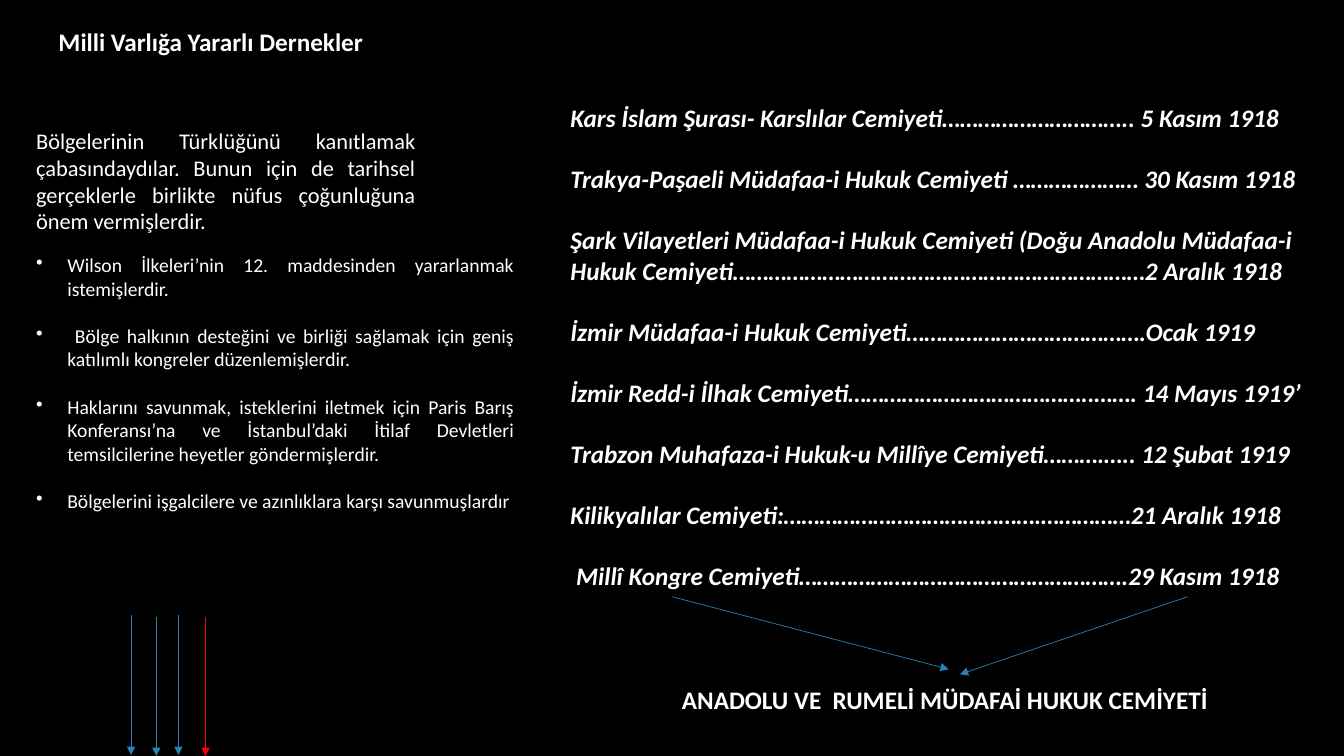
from dataclasses import dataclass

from pptx import Presentation
from pptx import util as u
from pptx.dml.color import RGBColor
from pptx.enum import shapes, text
from pptx.oxml.ns import qn
from lxml import etree

WIDTH, HEIGHT = u.Inches(13.33), u.Inches(7.5)


@dataclass(frozen=True)
class Theme:
    """Colours, font and type sizes of the slide."""
    background: RGBColor = RGBColor(0x00, 0x00, 0x00)
    ink: RGBColor = RGBColor(0xFF, 0xFF, 0xFF)
    blue: RGBColor = RGBColor(0x29, 0x80, 0xB9)
    red: RGBColor = RGBColor(0xFF, 0x00, 0x00)
    font: str = "Calibri"
    heading: int = 18
    body: int = 16
    bullet: int = 14
    line: float = 0.5


THEME = Theme()

INTRO = ("Bölgelerinin Türklüğünü kanıtlamak çabasındaydılar. Bunun için de tarihsel "
         "gerçeklerle birlikte nüfus çoğunluğuna önem vermişlerdir.")
AIMS = [
    "Wilson İlkeleri’nin 12. maddesinden yararlanmak istemişlerdir.",
    " Bölge halkının desteğini ve birliği sağlamak için geniş katılımlı kongreler "
    "düzenlemişlerdir.",
    "Haklarını savunmak, isteklerini iletmek için Paris Barış Konferansı’na ve "
    "İstanbul’daki İtilaf Devletleri temsilcilerine heyetler göndermişlerdir.",
    "Bölgelerini işgalcilere ve azınlıklara karşı savunmuşlardır",
]
SOCIETIES = [
    "Kars İslam Şurası- Karslılar Cemiyeti………………………….. 5 Kasım 1918",
    "Trakya-Paşaeli Müdafaa-i Hukuk Cemiyeti ………………… 30 Kasım 1918",
    "Şark Vilayetleri Müdafaa-i Hukuk Cemiyeti (Doğu Anadolu Müdafaa-i Hukuk "
    "Cemiyeti……………………………………………………………2 Aralık 1918",
    "İzmir Müdafaa-i Hukuk Cemiyeti………………………………….Ocak 1919",
    "İzmir Redd-i İlhak Cemiyeti…………………………………..……. 14 Mayıs 1919’",
    "Trabzon Muhafaza-i Hukuk-u Millîye Cemiyeti……….….. 12 Şubat 1919",
    "Kilikyalılar Cemiyeti:…………………………………….……………21 Aralık 1918",
    " Millî Kongre Cemiyeti……………………………………………….29 Kasım 1918",
]


def across(percent):
    """Turn a percentage of the slide width into a length."""
    return round(WIDTH * percent / 100)


def down(percent):
    """Turn a percentage of the slide height into a length."""
    return round(HEIGHT * percent / 100)


def place(shape, left, top, width, height):
    """Put a shape at percentages of the slide."""
    shape.left, shape.top = across(left), down(top)
    shape.width, shape.height = across(width), down(height)


def write(shape, lines, size, bold=False, italic=False, gap=0, align=text.PP_ALIGN.LEFT):
    """Fill a shape with evenly formatted paragraphs."""
    frame = shape.text_frame
    frame.text = "\n".join(lines)
    frame.word_wrap = True
    frame.auto_size = text.MSO_AUTO_SIZE.SHAPE_TO_FIT_TEXT
    frame.vertical_anchor = text.MSO_ANCHOR.TOP
    for paragraph in frame.paragraphs:
        paragraph.alignment = align
        paragraph.space_before = u.Pt(0)
        paragraph.space_after = u.Pt(gap)
        font = paragraph.font
        font.name, font.size = THEME.font, u.Pt(size)
        font.bold, font.italic = bold, italic
        font.color.rgb = THEME.ink
    frame.paragraphs[-1].space_after = u.Pt(0)


def add_text(slide, box, lines, size, **style):
    """Add a text box in the given percentage box."""
    shape = slide.shapes.add_textbox(0, 0, 0, 0)
    place(shape, *box)
    write(shape, lines, size, **style)
    return shape


def add_bullets(shape, indent):
    """Give each paragraph of a shape a hanging round bullet."""
    for paragraph in shape.text_frame.paragraphs:
        properties = paragraph._p.get_or_add_pPr()
        properties.set("marL", str(indent))
        properties.set("indent", str(-indent))
        bullet = etree.Element(qn("a:buChar"), char="•")
        properties.find(qn("a:defRPr")).addprevious(bullet)


def add_arrow(slide, start, end, color):
    """Add a thin arrow between two percentage points."""
    arrow = slide.shapes.add_connector(
        shapes.MSO_CONNECTOR.STRAIGHT,
        across(start[0]), down(start[1]), across(end[0]), down(end[1]))
    arrow.line.color.rgb = color
    arrow.line.width = u.Pt(THEME.line)
    etree.SubElement(arrow.line._get_or_add_ln(), qn("a:tailEnd"), type="triangle")
    etree.SubElement(arrow._element.spPr, qn("a:effectLst"))


def main():
    """Build the slide and save it."""
    presentation = Presentation()
    presentation.slide_width, presentation.slide_height = WIDTH, HEIGHT
    slide = presentation.slides.add_slide(presentation.slide_layouts.get_by_name("Title Only"))
    slide.background.fill.solid()
    slide.background.fill.fore_color.rgb = THEME.background

    title = slide.shapes.title
    place(title, 3.6, 2.8, 50, 5.33)
    write(title, ["Milli Varlığa Yararlı Dernekler"], THEME.heading, bold=True)

    justify = text.PP_ALIGN.JUSTIFY
    add_text(slide, (1.95, 16.13, 29.71, 15.73), [INTRO], THEME.body, align=justify)
    aims = add_text(slide, (1.95, 32.8, 37.06, 35.87), AIMS, THEME.bullet,
                    gap=17, align=justify)
    add_bullets(aims, u.Inches(0.31))
    add_text(slide, (41.71, 12.93, 56.41, 66), SOCIETIES, THEME.heading,
             bold=True, italic=True, gap=22)
    add_text(slide, (50, 89.87, 50, 5.33), ["ANADOLU VE  RUMELİ MÜDAFAİ HUKUK CEMİYETİ"],
             THEME.heading, bold=True)

    add_arrow(slide, (50, 78.93), (70.59, 88.53), THEME.blue)
    add_arrow(slide, (88.37, 78.93), (71.42, 89.2), THEME.blue)
    for left, top, bottom, color in [
        (9.75, 81.33, 99.87, THEME.blue),
        (11.63, 81.6, 100, THEME.blue),
        (13.28, 81.33, 99.87, THEME.blue),
        (15.3, 81.6, 100, THEME.red),
    ]:
        add_arrow(slide, (left, top), (left, bottom), color)

    presentation.save("out.pptx")


if __name__ == "__main__":
    main()
